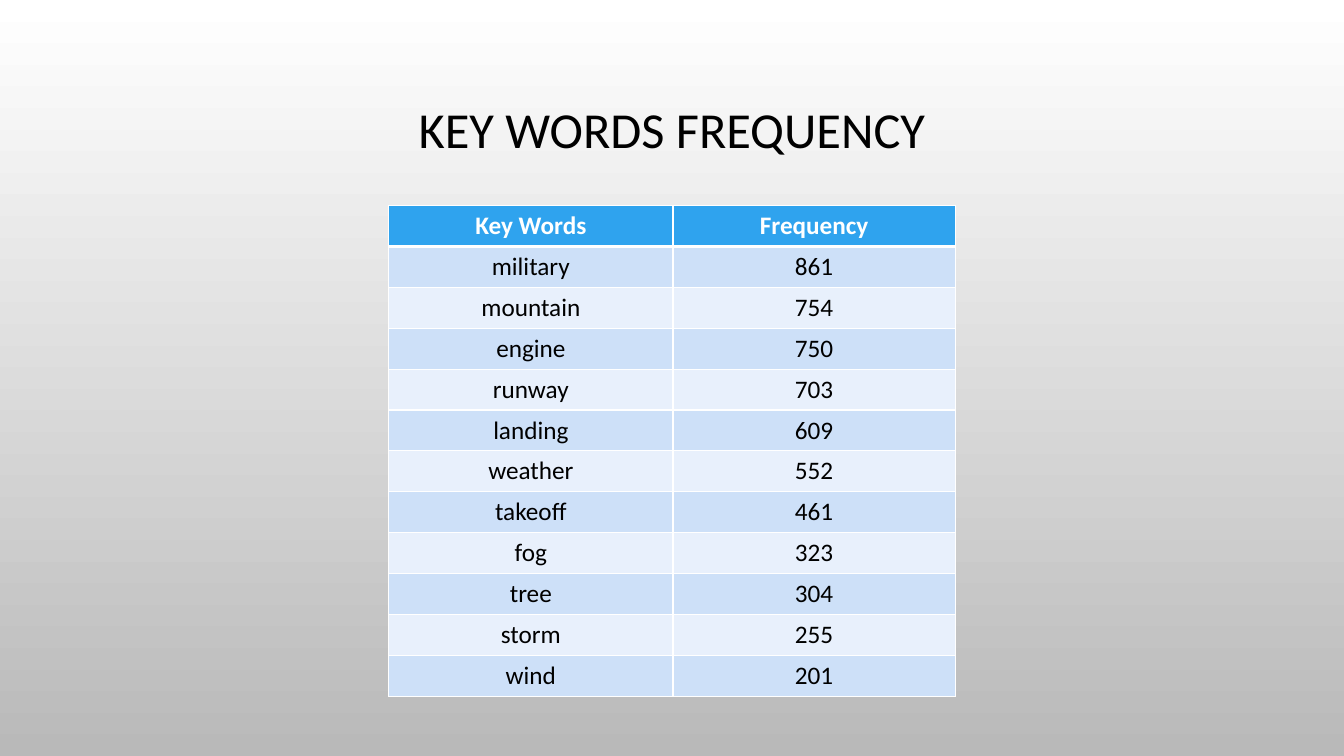
"""Build the key words frequency slide."""
from dataclasses import dataclass

from lxml.etree import SubElement
from pptx import Presentation
from pptx.dml.color import RGBColor
from pptx.enum.text import MSO_ANCHOR, PP_ALIGN
from pptx.oxml.ns import qn
from pptx.slide import Slide
from pptx.table import _Cell as Cell
from pptx.text.text import TextFrame
from pptx.util import Emu, Inches, Pt

WIDTH, HEIGHT = Inches(13.33), Inches(7.5)
FONT = "Calibri"
BLACK = RGBColor(0x00, 0x00, 0x00)
WHITE = RGBColor(0xFF, 0xFF, 0xFF)
GREY = RGBColor(0xB9, 0xB9, 0xB9)
BLUE = RGBColor(0x2F, 0xA3, 0xEE)
BANDS = (RGBColor(0xE8, 0xF0, 0xFC), RGBColor(0xCD, 0xE0, 0xF8))


@dataclass(frozen=True)
class Entry:
    word: str
    count: str


HEAD = Entry("Key Words", "Frequency")
ENTRIES = (
    Entry("military", "861"),
    Entry("mountain", "754"),
    Entry("engine", "750"),
    Entry("runway", "703"),
    Entry("landing", "609"),
    Entry("weather", "552"),
    Entry("takeoff", "461"),
    Entry("fog", "323"),
    Entry("tree", "304"),
    Entry("storm", "255"),
    Entry("wind", "201"),
)


def across(share: float) -> Emu:
    """Turn a percentage of the slide width into a length."""
    return Emu(round(WIDTH * share / 100))


def down(share: float) -> Emu:
    """Turn a percentage of the slide height into a length."""
    return Emu(round(HEIGHT * share / 100))


def write(frame: TextFrame, text: str, size: int, color: RGBColor, bold: bool = False) -> None:
    """Put one centred line of text into a frame."""
    frame.text = text
    line = frame.paragraphs[0]
    line.alignment = PP_ALIGN.CENTER
    font = line.runs[0].font
    font.name, font.size, font.bold = FONT, Pt(size), bold
    font.color.rgb = color


def border(cell: Cell, side: str, points: int) -> None:
    """Draw a white line along one side of a cell."""
    line = SubElement(cell._tc.get_or_add_tcPr(), qn(f"a:ln{side}"), w=str(Pt(points)))
    fill = SubElement(line, qn("a:solidFill"))
    SubElement(fill, qn("a:srgbClr"), val=str(WHITE))


def paint(slide: Slide) -> None:
    """Fill the background with a gradient running downwards."""
    fill = slide.background.fill
    fill.gradient()
    fill.gradient_angle = 270
    for stop, color, place in zip(fill.gradient_stops, (WHITE, GREY), (0, 1)):
        stop.color.rgb = color
        stop.position = place


def add_title(slide: Slide) -> None:
    """Place and format the slide title."""
    title = slide.shapes.title
    title.left, title.top = across(7.5), down(9.07)
    title.width, title.height = across(85), down(16.93)
    frame = title.text_frame
    write(frame, "KEY WORDS FREQUENCY", 36, BLACK)
    frame.vertical_anchor = MSO_ANCHOR.MIDDLE
    frame.paragraphs[0].line_spacing = 0.9


def add_words(slide: Slide) -> None:
    """Add the centred table of words and counts."""
    items = (HEAD, *ENTRIES)
    widths = (across(21.15), across(21))
    total = sum(widths)
    step = down(5.41)
    table = slide.shapes.add_table(
        len(items), len(widths), Emu((WIDTH - total) // 2), down(27.2), Emu(total), Emu(step * len(items))
    ).table
    for column, width in zip(table.columns, widths):
        column.width = width
    for row, item in enumerate(items):
        table.rows[row].height = step
        head = row == 0
        for col, text in enumerate((item.word, item.count)):
            cell = table.cell(row, col)
            write(cell.text_frame, text, 18, WHITE if head else BLACK, head)
            for side in "LRTB":
                thick = (side, row) in (("B", 0), ("T", 1))
                border(cell, side, 3 if thick else 1)
            cell.fill.solid()
            cell.fill.fore_color.rgb = BLUE if head else BANDS[row % 2]


def main() -> None:
    """Create and save the presentation."""
    deck = Presentation()
    deck.slide_width, deck.slide_height = WIDTH, HEIGHT
    slide = deck.slides.add_slide(deck.slide_layouts[5])
    paint(slide)
    add_title(slide)
    add_words(slide)
    deck.save("out.pptx")


if __name__ == "__main__":
    main()
